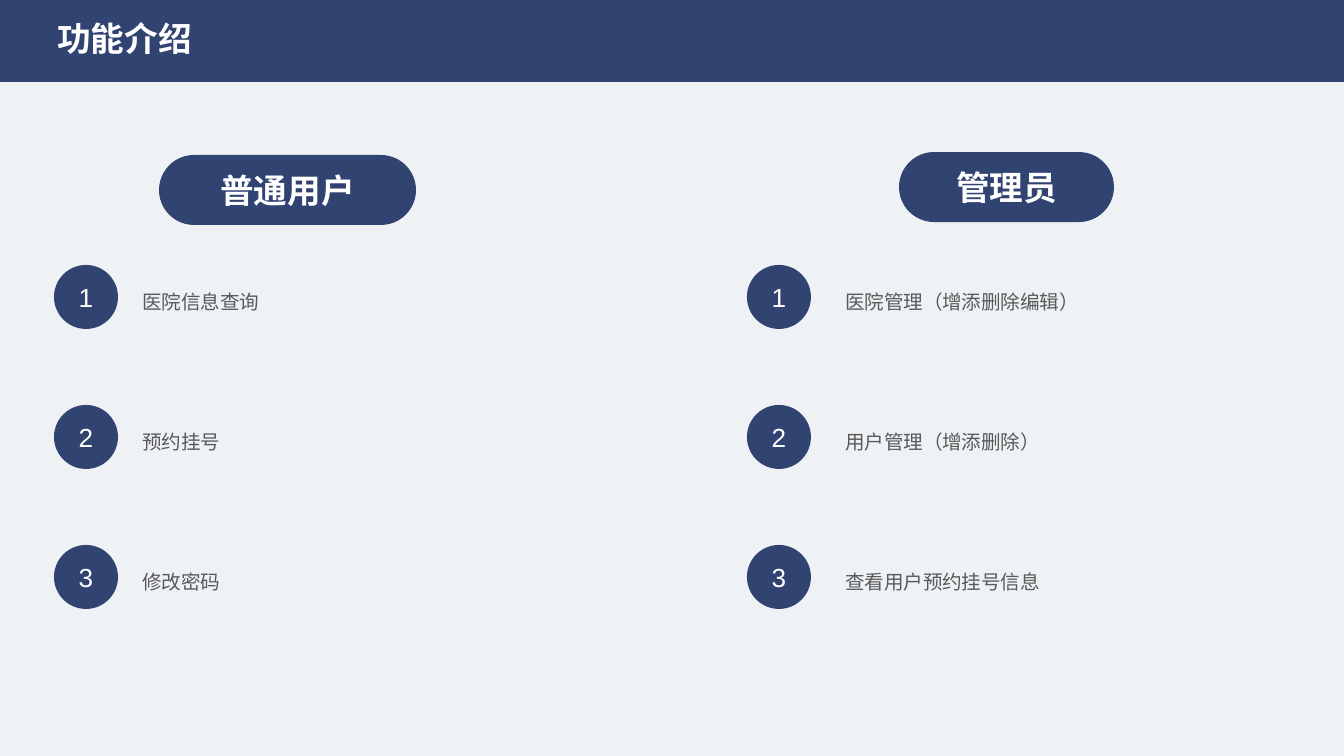
from dataclasses import dataclass

from lxml import etree
from pptx import Presentation
from pptx import util as u
from pptx.dml.color import RGBColor
from pptx.enum import shapes, text
from pptx.oxml import ns

SCALE = 914400 / 134.4
NAVY = RGBColor(0x30, 0x43, 0x71)
PALE = RGBColor(0xEE, 0xF2, 0xF5)
WHITE = RGBColor(0xFF, 0xFF, 0xFF)
GRAY = RGBColor(0x59, 0x59, 0x59)
CJK = "Noto Sans CJK SC"
KIND = shapes.MSO_SHAPE
MID = text.PP_ALIGN.CENTER

HEAD = {"name": CJK, "size": u.Pt(18), "bold": True}
NUM = {"name": "Arial", "size": u.Pt(14)}
BODY = {"name": "Calibri", "size": u.Pt(10.5)}

TOP, STEP, DOT = 265, 140, 64


@dataclass(frozen=True)
class Box:
    x: int
    y: int
    w: int
    h: int

    def emu(self) -> list:
        return [px(n) for n in (self.x, self.y, self.w, self.h)]


@dataclass(frozen=True)
class Role:
    name: str
    pill: Box
    dot: int
    label: int
    tasks: tuple


ROLES = (
    Role("普通用户", Box(159, 155, 257, 70), 54, 129,
         ("医院信息查询", "预约挂号", "修改密码")),
    Role("管理员", Box(899, 152, 215, 70), 747, 832,
         ("医院管理（增添删除编辑）", "用户管理（增添删除）", "查看用户预约挂号信息")),
)


def px(n: int) -> u.Emu:
    return u.Emu(round(n * SCALE))


def write(frame, words: str, form: dict, color: RGBColor, align=None, space=None) -> None:
    para = frame.paragraphs[0]
    para.alignment = align
    para.line_spacing = space
    run = para.add_run()
    run.text = words
    for key, val in form.items():
        setattr(run.font, key, val)
    run.font.color.rgb = color
    east = etree.SubElement(run.font._element, ns.qn("a:ea"))
    east.set("typeface", CJK)


def block(slide, kind, box: Box, words: str = "", form: dict = NUM):
    shape = slide.shapes.add_shape(kind, *box.emu())
    shape.shadow.inherit = False
    shape.fill.solid()
    shape.fill.fore_color.rgb = NAVY
    shape.line.fill.background()
    if words:
        shape.text_frame.vertical_anchor = text.MSO_ANCHOR.MIDDLE
        write(shape.text_frame, words, form, WHITE, MID)
    return shape


def label(slide, box: Box, words: str, form: dict, color: RGBColor,
          wrap: bool = True, align=None, space=None) -> None:
    frame = slide.shapes.add_textbox(*box.emu()).text_frame
    frame.word_wrap = wrap
    frame.auto_size = text.MSO_AUTO_SIZE.SHAPE_TO_FIT_TEXT
    write(frame, words, form, color, align, space)


def column(slide, role: Role) -> None:
    pill = block(slide, KIND.ROUNDED_RECTANGLE, role.pill, role.name, HEAD)
    pill.adjustments[0] = 0.5
    for i, task in enumerate(role.tasks):
        y = TOP + i * STEP
        block(slide, KIND.OVAL, Box(role.dot, y, DOT, DOT), str(i + 1))
        label(slide, Box(role.label, y + 7, 468, 48), task, BODY, GRAY, space=1.5)


def main() -> None:
    deck = Presentation()
    deck.slide_width, deck.slide_height = px(1344), px(756)
    slide = deck.slides.add_slide(deck.slide_layouts[6])
    slide.background.fill.solid()
    slide.background.fill.fore_color.rgb = PALE
    block(slide, KIND.RECTANGLE, Box(0, 0, 1344, 82))
    label(slide, Box(44, 11, 161, 54), "功能介绍", HEAD, WHITE, wrap=False, align=MID)
    for role in ROLES:
        column(slide, role)
    deck.save("out.pptx")


if __name__ == "__main__":
    main()
